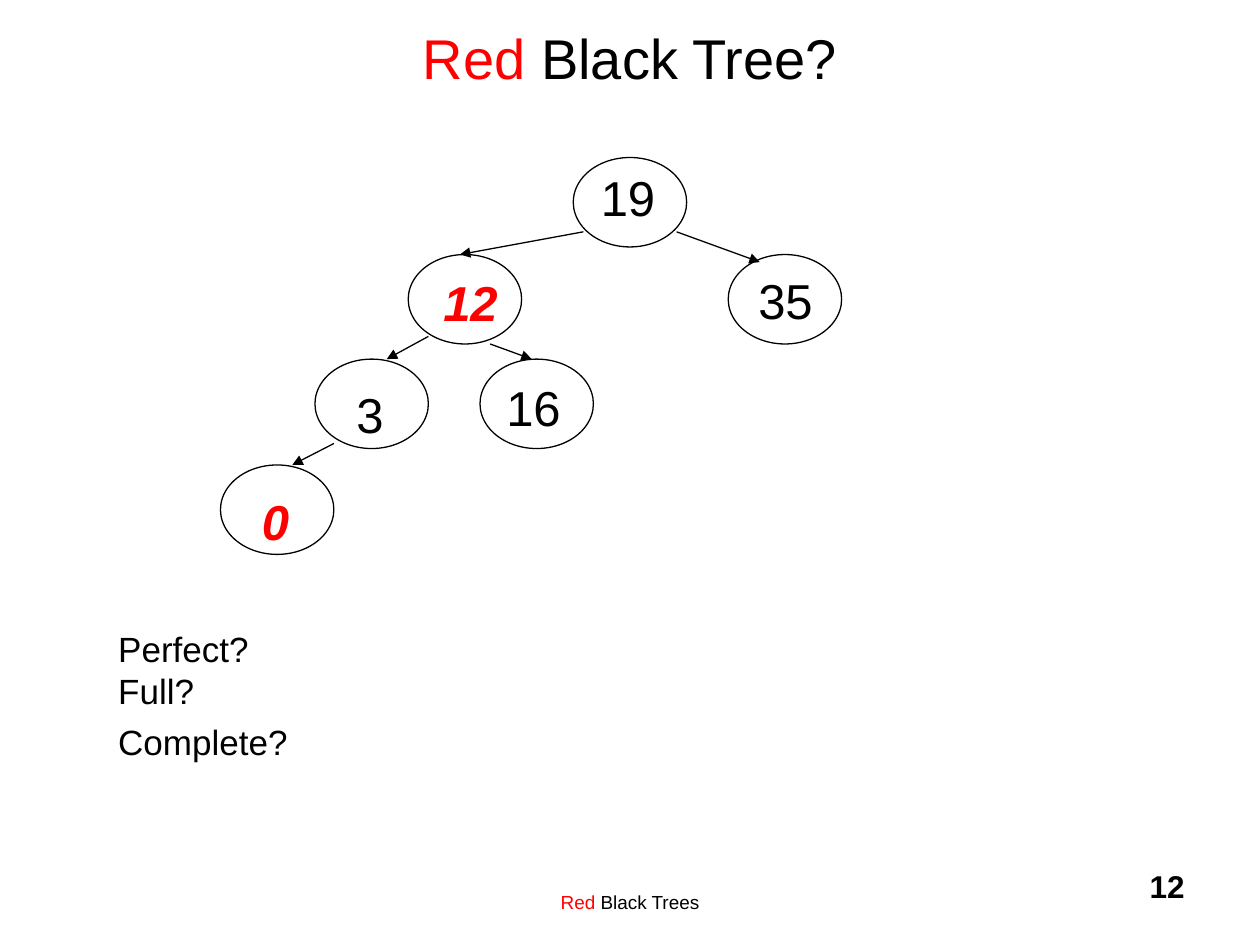
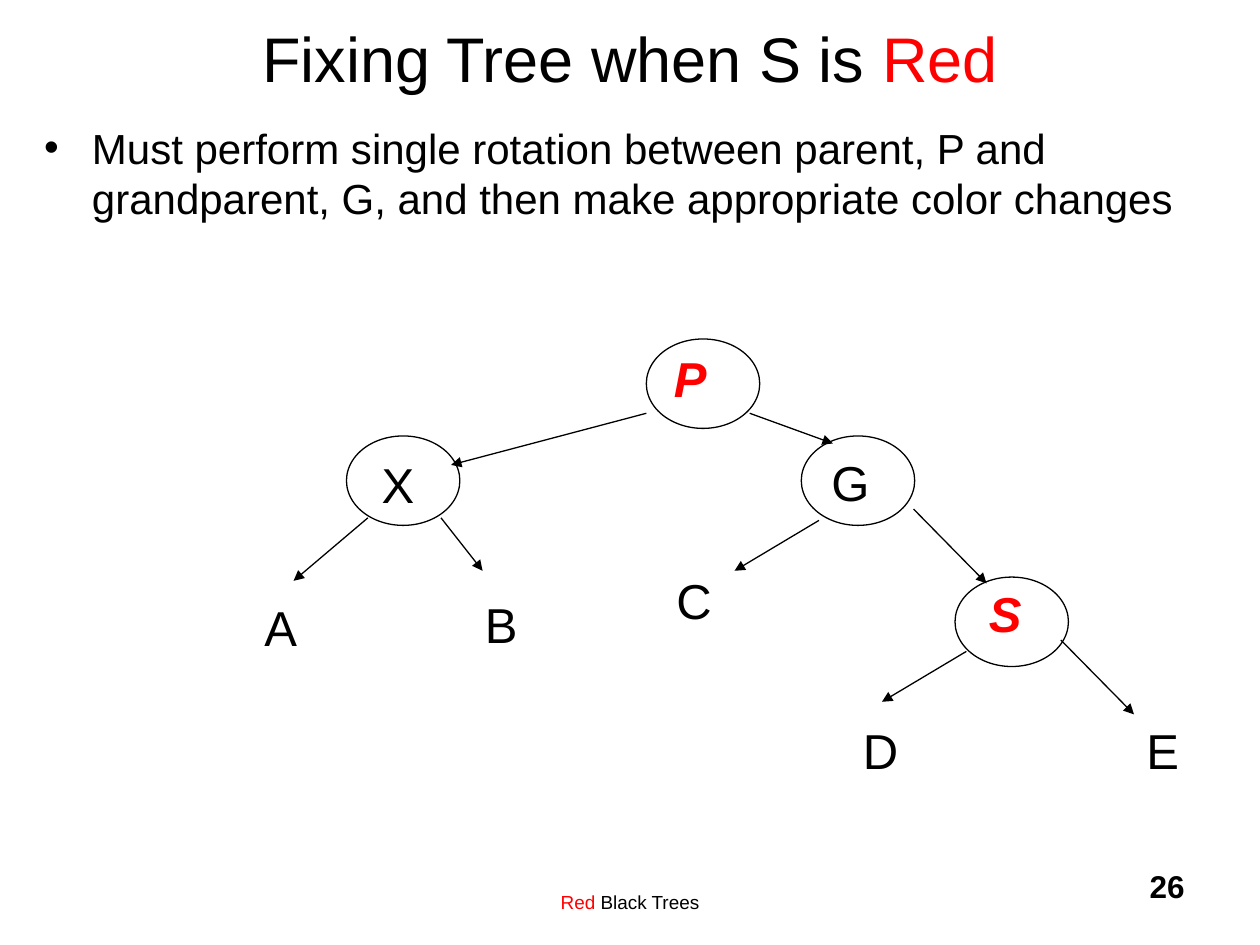
import pptx
import pptx.util
import pptx.dml.color
import pptx.enum.shapes
import pptx.enum.text
import pptx.oxml.ns
from lxml import etree

Inches, Pt = pptx.util.Inches, pptx.util.Pt
ALIGN = pptx.enum.text.PP_ALIGN
ANCHOR = pptx.enum.text.MSO_ANCHOR
qn = pptx.oxml.ns.qn

# Shared style
BLACK = pptx.dml.color.RGBColor(0x00, 0x00, 0x00)
RED = pptx.dml.color.RGBColor(0xFF, 0x00, 0x00)
FONT = "Arial"
NODE_W, NODE_H = 0.9, 0.71
TITLE_ONLY, TITLE_AND_BODY = 5, 1

# Nodes: label, ellipse left and top, label left and top
SEARCH_NODES = [
    ("19", 4.55, 1.25, 4.67, 1.28),
    ("12", 3.24, 2.02, 3.42, 2.11),
    ("35", 5.78, 2.02, 5.92, 2.1),
    ("3", 2.5, 2.85, 2.73, 3),
    ("16", 3.81, 2.85, 3.92, 2.95),
    ("0", 1.75, 3.69, 1.98, 3.85),
]
ROTATION_NODES = [
    ("P", 5.13, 2.69, 5.25, 2.72),
    ("X", 2.75, 3.46, 2.93, 3.56),
    ("G", 6.36, 3.46, 6.5, 3.54),
    ("S", 7.58, 4.58, 7.75, 4.58),
]
# Subtrees: label, left and top
SUBTREES = [
    ("A", 2, 4.69),
    ("B", 3.75, 4.67),
    ("C", 5.27, 4.48),
    ("D", 6.75, 5.67),
    ("E", 9, 5.67),
]
# Edges: start x and y, end x and y
SEARCH_EDGES = [
    (4.63, 1.84, 3.65, 2.02),
    (5.37, 1.84, 6.03, 2.08),
    (3.4, 2.67, 3.07, 2.85),
    (3.89, 2.73, 4.22, 2.85),
    (2.65, 3.52, 2.32, 3.69),
]
ROTATION_EDGES = [
    (5.13, 3.28, 3.58, 3.69),
    (5.95, 3.28, 6.61, 3.52),
    (2.92, 4.11, 2.33, 4.61),
    (3.5, 4.11, 3.83, 4.53),
    (6.5, 4.13, 5.83, 4.53),
    (7.25, 4.04, 7.83, 4.63),
    (7.67, 5.17, 7, 5.57),
    (8.42, 5.08, 9, 5.67),
]


def add_text(p, text, size=28, color=BLACK, bold=False, italic=False):
    """Append text to a paragraph; a newline becomes a line break."""
    for i, line in enumerate(text.split("\n")):
        if i:
            p.add_line_break()
        r = p.add_run()
        r.text = line
        r.font.name = FONT
        r.font.size = Pt(size)
        r.font.color.rgb = color
        r.font.bold = bold
        r.font.italic = italic


def add_box(slide, left, top, width, height, wrap=True):
    sp = slide.shapes.add_textbox(Inches(left), Inches(top), Inches(width), Inches(height))
    tf = sp.text_frame
    tf.word_wrap = wrap
    if not wrap:
        tf.auto_size = pptx.enum.text.MSO_AUTO_SIZE.SHAPE_TO_FIT_TEXT
    return tf


def place(sp, left, top, width, height):
    sp.left, sp.top, sp.width, sp.height = map(Inches, (left, top, width, height))


def add_slide(prs, layout, title, size, number):
    """Add a slide with its title, footer and number; title is (text, colour) pairs."""
    slide = prs.slides.add_slide(prs.slide_layouts[layout])
    sp = slide.shapes.title
    place(sp, 0.75, -0.17, 8.5, 1.25)
    sp.text_frame.vertical_anchor = ANCHOR.MIDDLE
    p = sp.text_frame.paragraphs[0]
    p.alignment = ALIGN.CENTER
    for text, color in title:
        add_text(p, text, size=size, color=color)

    p = add_box(slide, 3.08, 7.02, 3.84, 0.31).paragraphs[0]
    p.alignment = ALIGN.CENTER
    add_text(p, "Red", size=10.8, color=RED)
    add_text(p, " Black Trees", size=10.8)

    p = add_box(slide, 7.42, 6.83, 2.08, 0.5).paragraphs[0]
    p.alignment = ALIGN.RIGHT
    add_text(p, str(number), size=18, bold=True)
    return slide


def add_label(slide, text, left, top, red=False):
    width = 0.2 + sum(0.22 if c.isdigit() else 0.27 for c in text)
    tf = add_box(slide, left, top, width, 0.57, wrap=False)
    add_text(tf.paragraphs[0], text, color=RED if red else BLACK, bold=red, italic=red)


def add_node(slide, text, left, top, label_left, label_top, red=False):
    sp = slide.shapes.add_shape(pptx.enum.shapes.MSO_SHAPE.OVAL, Inches(left), Inches(top),
                                Inches(NODE_W), Inches(NODE_H))
    sp.shadow.inherit = False
    sp.fill.background()
    sp.line.color.rgb = BLACK
    sp.line.width = Pt(0.75)
    add_label(slide, text, label_left, label_top, red)


def add_edge(slide, x1, y1, x2, y2):
    sp = slide.shapes.add_connector(pptx.enum.shapes.MSO_CONNECTOR.STRAIGHT,
                                    *map(Inches, (x1, y1, x2, y2)))
    sp.line.color.rgb = BLACK
    sp.line.width = Pt(0.75)
    etree.SubElement(sp.line._get_or_add_ln(), qn("a:tailEnd"), type="triangle")
    etree.SubElement(sp._element.spPr, qn("a:effectLst"))


def add_tree(slide, nodes, edges, reds):
    for node in nodes:
        add_node(slide, *node, red=node[0] in reds)
    for edge in edges:
        add_edge(slide, *edge)


def add_bullet(slide, text):
    sp = slide.placeholders[1]
    place(sp, 0.25, 0.92, 9.5, 6)
    p = sp.text_frame.paragraphs[0]
    pPr = p._p.get_or_add_pPr()
    pPr.set("marL", str(Inches(0.38)))
    pPr.set("indent", str(Inches(-0.38)))
    etree.SubElement(pPr, qn("a:buChar"), char="•")
    p.space_before = Pt(0)
    add_text(p, text, size=24)


def add_questions(slide, questions):
    tf = add_box(slide, 0.84, 4.93, 1.8, 1.17)
    for i, text in enumerate(questions):
        p = tf.add_paragraph() if i else tf.paragraphs[0]
        p.space_before = Pt(5 if i else 0)
        add_text(p, text, size=20)


def main():
    prs = pptx.Presentation()
    prs.slide_width, prs.slide_height = Inches(10), Inches(7.5)

    # Is this a red black tree?
    slide = add_slide(prs, TITLE_ONLY, [("Red", RED), (" Black Tree?", BLACK)], 32, 12)
    add_tree(slide, SEARCH_NODES, SEARCH_EDGES, reds=("12", "0"))
    add_questions(slide, ["Perfect?\nFull?", "Complete?"])

    # Rotation between P and G
    slide = add_slide(prs, TITLE_AND_BODY,
                      [("Fixing Tree when S is ", BLACK), ("Red", RED)], 36, 26)
    add_bullet(slide, "Must perform single rotation between parent, P and grandparent, G, "
                      "and then make appropriate color changes")
    add_tree(slide, ROTATION_NODES, ROTATION_EDGES, reds=("P", "S"))
    for subtree in SUBTREES:
        add_label(slide, *subtree)

    prs.save("out.pptx")


if __name__ == "__main__":
    main()
